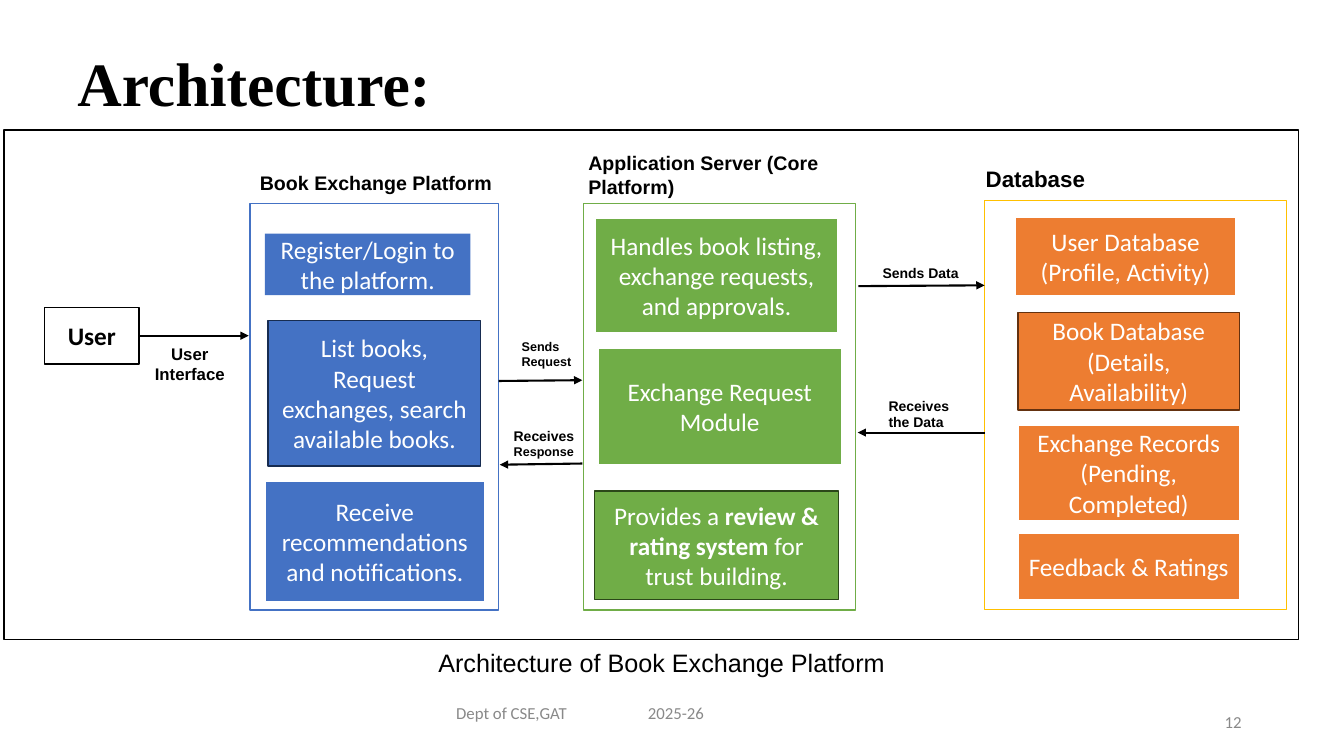
from pptx import Presentation
from pptx.dml.color import RGBColor
from pptx.enum.shapes import MSO_CONNECTOR, MSO_SHAPE
from pptx.enum.text import MSO_ANCHOR, PP_ALIGN
from pptx.oxml.ns import qn
from pptx.util import Cm, Pt
from lxml import etree

RECT, STRAIGHT = MSO_SHAPE.RECTANGLE, MSO_CONNECTOR.STRAIGHT
TOP, MIDDLE = MSO_ANCHOR.TOP, MSO_ANCHOR.MIDDLE
LEFT, CENTER, RIGHT = PP_ALIGN.LEFT, PP_ALIGN.CENTER, PP_ALIGN.RIGHT

BLACK = RGBColor(0x00, 0x00, 0x00)
WHITE = RGBColor(0xFF, 0xFF, 0xFF)
GREY = RGBColor(0x89, 0x89, 0x89)
BLUE = RGBColor(0x44, 0x72, 0xC4)
GREEN = RGBColor(0x70, 0xAD, 0x47)
GOLD = RGBColor(0xFF, 0xC0, 0x00)
ORANGE = RGBColor(0xED, 0x7D, 0x31)
DARK_BLUE = RGBColor(0x17, 0x2C, 0x51)
DARK_GREEN = RGBColor(0x2B, 0x47, 0x19)
DARK_ORANGE = RGBColor(0x64, 0x31, 0x0F)

# Boxes are (left, top, width, height) in centimetres.
# Panel: box, outline, block fill, heading (box, size, text), blocks (box, outline, text).
# Heading and block boxes are measured from the panel's corner.
PANELS = [
    ((6.3, 5.13, 6.27, 10.24), BLUE, BLUE,
     ((0, -0.94, 6.48, 0.86), 14, "Book Exchange Platform"),
     [((0.38, 0.76, 5.18, 1.55), None, "Register/Login to the platform."),
      ((0.46, 2.95, 5.36, 3.66), DARK_BLUE,
       "List books, Request exchanges, search available books."),
      ((0.38, 6.99, 5.54, 3.05), WHITE,
       "Receive recommendations and notifications.")]),
    ((14.71, 5.13, 6.86, 10.24), GREEN, GREEN,
     ((-0.13, -1.45, 7.01, 1.45), 14, "Application Server (Core Platform)"),
     [((0.28, 0.36, 6.15, 2.9), WHITE,
       "Handles book listing, exchange requests, and approvals."),
      ((0.36, 3.63, 6.15, 2.97), WHITE, "Exchange Request Module"),
      ((0.28, 7.24, 6.15, 2.74), DARK_GREEN,
       [("Provides a ", {}), ("review & rating system", {"bold": True}),
        (" for trust building.", {})])]),
    ((24.82, 5.05, 7.62, 10.31), GOLD, ORANGE,
     ((-0.22, -1.02, 3.96, 0.94), 16, "Database"),
     [((0.76, 0.43, 5.59, 1.98), WHITE, "User Database (Profile, Activity)"),
      ((0.84, 2.82, 5.59, 2.46), DARK_ORANGE,
       "Book Database (Details, Availability)"),
      ((0.84, 5.66, 5.59, 2.41), WHITE,
       "Exchange Records (Pending, Completed)"),
      ((0.84, 8.38, 5.59, 1.7), WHITE, "Feedback & Ratings")]),
]

# Flow: arrow start, arrow end, label box, label size, alignment, label paragraphs.
FLOWS = [
    ((3.53, 8.46), (6.27, 8.46), (3.4, 8.53, 2.77, 1.27), 12, CENTER,
     ["User", "Interface"]),
    ((12.57, 9.6), (14.68, 9.58), (12.9, 8.41, 2, 0.98), 9, LEFT,
     ["Sends", "Request"]),
    ((21.64, 7.21), (24.82, 7.19), (22, 6.55, 2.95, 0.69), 10, LEFT,
     ["Sends Data"]),
    ((24.82, 10.9), (21.62, 10.9), (22.15, 9.88, 2.41, 1.12), 10, LEFT,
     ["Receives the Data"]),
    ((14.68, 11.68), (12.6, 11.71), (12.7, 10.64, 2.29, 1.07), 10, LEFT,
     [[("Receives ", {}), ("Response", {"size": Pt(9)})]]),
]


def write(shape, paragraphs, size, color=BLACK, name="Arial", bold=False,
          align=LEFT, anchor=TOP):
    """Fill a shape with paragraphs, each a string or a list of (text, font changes)."""
    frame = shape.text_frame
    frame.word_wrap = True
    frame.vertical_anchor = anchor
    for index, content in enumerate(paragraphs):
        para = frame.add_paragraph() if index else frame.paragraphs[0]
        para.alignment = align
        font = para.font
        font.size, font.name, font.bold = Pt(size), name, bold
        font.color.rgb = color
        spans = [(content, {})] if isinstance(content, str) else content
        for text, changes in spans:
            span = para.add_run()
            span.text = text
            for key, value in changes.items():
                setattr(span.font, key, value)


def add_text(page, box, paragraphs, size, **style):
    """Add a text box and return it."""
    shape = page.shapes.add_textbox(*map(Cm, box))
    write(shape, paragraphs, size, **style)
    return shape


def add_rectangle(page, box, fill, outline, width=1):
    """Add a flat rectangle and return it."""
    shape = page.shapes.add_shape(RECT, *map(Cm, box))
    shape.shadow.inherit = False
    shape.fill.solid()
    shape.fill.fore_color.rgb = fill
    if outline is None:
        shape.line.fill.background()
    else:
        shape.line.color.rgb = outline
        shape.line.width = Pt(width)
    return shape


def add_arrow(page, start, end):
    """Add a black arrow between two points."""
    arrow = page.shapes.add_connector(STRAIGHT, *map(Cm, start + end))
    arrow.line.color.rgb = BLACK
    arrow.line.width = Pt(1.5)
    etree.SubElement(arrow.line._get_or_add_ln(), qn("a:tailEnd"), type="triangle")
    etree.SubElement(arrow._element.spPr, qn("a:effectLst"))


def add_panel(page, box, outline, fill, heading, blocks):
    """Draw one system part: outline, heading above it and blocks inside."""
    left, top = box[:2]

    def inside(part):
        """Move a box from the panel's corner to the page."""
        return (left + part[0], top + part[1], *part[2:])

    add_rectangle(page, box, WHITE, outline)
    heading_box, size, text = heading
    add_text(page, inside(heading_box), [text], size, bold=True)
    for block_box, edge, content in blocks:
        width = 1.5 if edge == WHITE else 1
        block = add_rectangle(page, inside(block_box), fill, edge, width)
        write(block, [content], 18, WHITE, "Calibri", align=CENTER, anchor=MIDDLE)


def add_user(page, box):
    """Draw the user box."""
    user = add_rectangle(page, box, WHITE, BLACK)
    write(user, ["User"], 18, name="Calibri", bold=True, align=CENTER, anchor=MIDDLE)


def add_flow(page, start, end, label_box, size, align, label):
    """Draw one labelled arrow."""
    add_arrow(page, start, end)
    add_text(page, label_box, label, size, bold=True, align=align)


def add_footer(page, box):
    """Write department, year and page number along the bottom."""
    left, top, width, height = box
    parts = [(0, 0, 4, "Dept of CSE,GAT", LEFT),
             (4.83, 0, 3, "2025-26", LEFT),
             (width - 3, 0.22, 3, "12", RIGHT)]
    for shift, drop, part_width, text, align in parts:
        add_text(page, (left + shift, top + drop, part_width, height), [text], 12,
                 color=GREY, name="Calibri", align=align, anchor=MIDDLE)


def add_architecture_slide(deck):
    """Compose the architecture slide."""
    page = deck.slides.add_slide(deck.slide_layouts[6])
    add_rectangle(page, (0.1, 3.28, 32.64, 12.83), WHITE, BLACK)
    add_text(page, (1.7, 0.23, 29.21, 3.68), ["Architecture:"], 44,
             name="Times New Roman", bold=True, anchor=MIDDLE)
    add_user(page, (1.12, 7.75, 2.39, 1.42))
    for panel in PANELS:
        add_panel(page, *panel)
    for flow in FLOWS:
        add_flow(page, *flow)
    add_text(page, (10.8, 16.18, 12.7, 1.02),
             ["Architecture of Book Exchange Platform"], 18)
    add_footer(page, (11.25, 17.45, 20.3, 1.02))


deck = Presentation()
deck.slide_width, deck.slide_height = Cm(33.88), Cm(19.05)
add_architecture_slide(deck)
deck.save("out.pptx")
